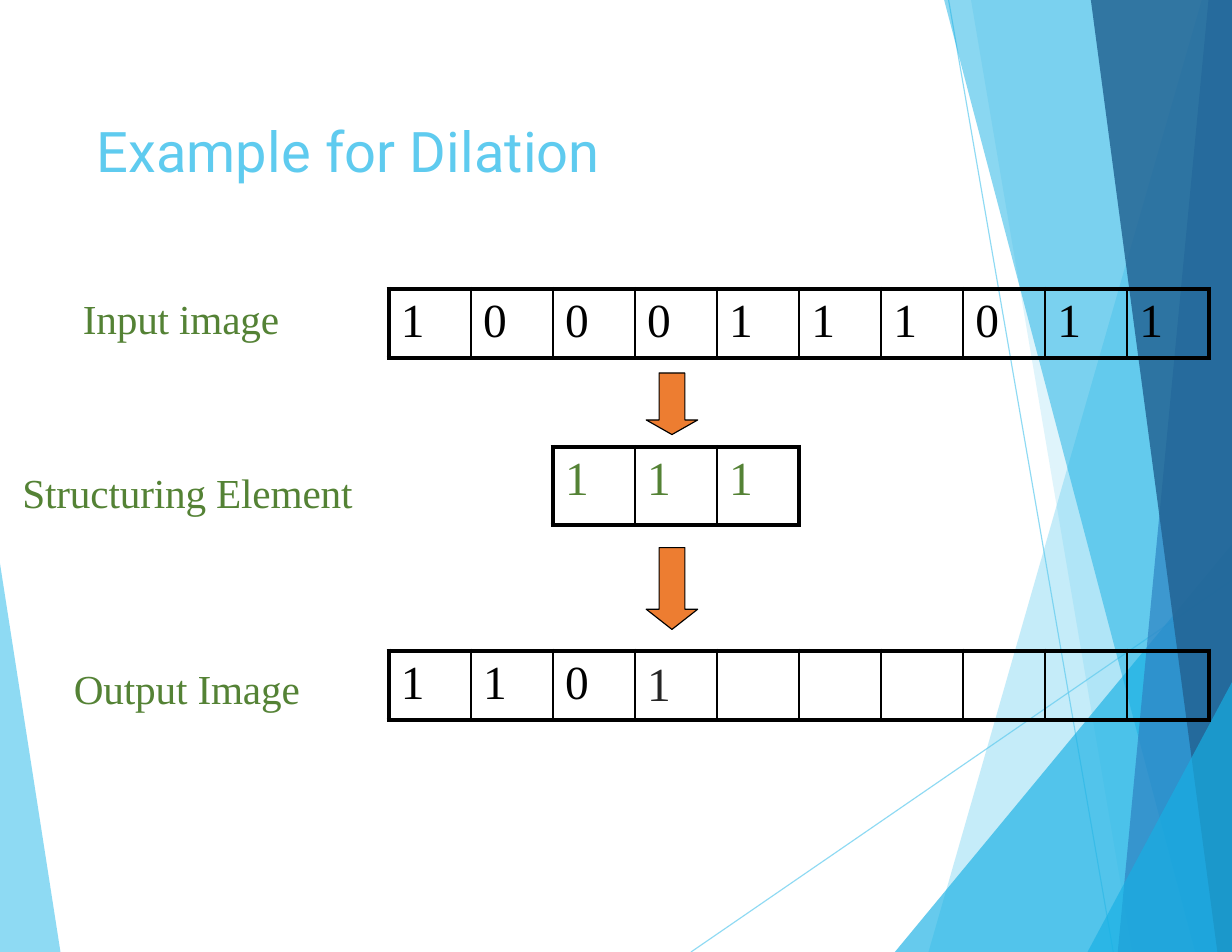
from dataclasses import dataclass

from lxml import etree
from pptx import Presentation
from pptx.dml.color import RGBColor
from pptx.enum.shapes import MSO_CONNECTOR, MSO_SHAPE
from pptx.enum.text import MSO_ANCHOR, PP_ALIGN
from pptx.oxml.ns import qn
from pptx.util import Inches, Pt

STRAIGHT = MSO_CONNECTOR.STRAIGHT
DOWN_ARROW = MSO_SHAPE.DOWN_ARROW
TOP = MSO_ANCHOR.TOP
LEFT = PP_ALIGN.LEFT
TITLE_ONLY = 5
WIDTH, HEIGHT = 11, 8.5


@dataclass(frozen=True)
class Theme:
    sky: str = "5FCBEF"
    cyan: str = "17B0E4"
    blue: str = "2E83C3"
    navy: str = "226292"
    green: str = "548235"
    orange: str = "ED7D31"
    black: str = "000000"
    charcoal: str = "262626"
    heading_font: str = "Roboto"
    body_font: str = "Times New Roman"
    title_size: float = 36
    label_size: float = 26.5
    cell_size: float = 30.5
    thick: float = 3
    thin: float = 1.5


THEME = Theme()
CELL_WIDTH = 0.733

# Colour, opacity in percent, corner points
LEFT_FACET = (THEME.sky, 70, [(0, 5.03), (0.54, HEIGHT), (0, HEIGHT)])
RIGHT_FACETS = [
    (THEME.sky, 36, [(10.73, 0), (8.29, HEIGHT), (WIDTH, HEIGHT), (WIDTH, 0)]),
    (THEME.sky, 20, [(8.67, 0), (10.11, HEIGHT), (WIDTH, HEIGHT), (WIDTH, 0)]),
    (THEME.cyan, 66, [(7.99, HEIGHT), (WIDTH, 4.86), (WIDTH, HEIGHT)]),
    (THEME.cyan, 50, [(8.43, 0), (10.67, HEIGHT), (WIDTH, HEIGHT), (WIDTH, 0)]),
    (THEME.blue, 70, [(10.79, 0), (9.98, HEIGHT), (WIDTH, HEIGHT), (WIDTH, 0)]),
    (THEME.navy, 82, [(9.74, 0), (10.87, HEIGHT), (WIDTH, HEIGHT), (WIDTH, 0)]),
    (THEME.cyan, 66, [(9.71, HEIGHT), (WIDTH, 6.09), (WIDTH, HEIGHT)]),
]
RAYS = [((6.17, HEIGHT), (WIDTH, 5.18)), ((8.47, 0), (9.94, HEIGHT))]


def rgb(color):
    return RGBColor.from_string(color)


def set_opacity(fill, percent):
    color = fill._xPr.find(qn("a:solidFill"))[0]
    etree.SubElement(color, qn("a:alpha"), val=str(percent * 1000))


def write_text(frame, text, *, size, color, font=THEME.body_font, tracking=0):
    """Fill the first paragraph of a frame; tracking is in hundredths of a point."""
    para = frame.paragraphs[0]
    para.alignment = LEFT
    para.space_before = Pt(0)
    span = para.add_run()
    span.text = text
    span.font.size = Pt(size)
    span.font.name = font
    span.font.color.rgb = rgb(color)
    if tracking:
        span.font._element.set("spc", str(tracking))


def set_margins(target, left=0, top=0):
    target.margin_left, target.margin_top = Inches(left), Inches(top)
    target.margin_right = target.margin_bottom = 0


def add_facet(page, color, opacity, corners):
    points = [(Inches(x), Inches(y)) for x, y in corners]
    builder = page.shapes.build_freeform(*points[0])
    builder.add_line_segments(points[1:], close=True)
    facet = builder.convert_to_shape()
    facet.shadow.inherit = False
    facet.fill.solid()
    facet.fill.fore_color.rgb = rgb(color)
    set_opacity(facet.fill, opacity)
    facet.line.fill.background()


def add_ray(page, start, end):
    ray = page.shapes.add_connector(STRAIGHT, *map(Inches, start + end))
    ray.line.width = Pt(0.75)
    ray.line.color.rgb = rgb(THEME.sky)
    set_opacity(ray.line.fill, 70)
    etree.SubElement(ray._element.spPr, qn("a:effectLst"))


def add_backdrop(page):
    add_facet(page, *LEFT_FACET)
    for start, end in RAYS:
        add_ray(page, start, end)
    for facet in RIGHT_FACETS:
        add_facet(page, *facet)


def place_title(page, text, left, top, width, height):
    title = page.shapes.title
    title.left, title.top = Inches(left), Inches(top)
    title.width, title.height = Inches(width), Inches(height)
    frame = title.text_frame
    frame.word_wrap = True
    frame.vertical_anchor = TOP
    set_margins(frame, left=0.01, top=0.04)
    write_text(frame, text, size=THEME.title_size, color=THEME.sky,
               font=THEME.heading_font, tracking=10)


def add_label(page, text, left, top, width, height=0.45):
    box = page.shapes.add_textbox(*map(Inches, (left, top, width, height)))
    frame = box.text_frame
    frame.word_wrap = True
    set_margins(frame)
    write_text(frame, text, size=THEME.label_size, color=THEME.green, tracking=-10)


def set_borders(cell, widths):
    """Set left, right, top and bottom border widths, in that order."""
    properties = cell._tc.get_or_add_tcPr()
    for index, (side, width) in enumerate(zip("LRTB", widths)):
        border = etree.Element(qn(f"a:ln{side}"), w=str(Pt(width)))
        fill = etree.SubElement(border, qn("a:solidFill"))
        etree.SubElement(fill, qn("a:srgbClr"), val=THEME.black)
        properties.insert(index, border)


def add_pixel_row(page, values, left, top, height, color, accents=()):
    """Draw one row of pixels; cells whose index is in accents are charcoal."""
    count = len(values)
    box = (left, top, count * CELL_WIDTH, height)
    table = page.shapes.add_table(1, count, *map(Inches, box)).table
    table.first_row = table.horz_banding = False
    for index, value in enumerate(values):
        table.columns[index].width = Inches(CELL_WIDTH)
        cell = table.cell(0, index)
        accented = index in accents
        set_margins(cell, left=0.11, top=0.08 if accented else 0.06)
        cell.fill.background()
        set_borders(cell, (
            THEME.thick if index == 0 else THEME.thin,
            THEME.thick if index == count - 1 else THEME.thin,
            THEME.thick, THEME.thick))
        if value:
            write_text(cell.text_frame, value, size=THEME.cell_size,
                       color=THEME.charcoal if accented else color)


def add_down_arrow(page, left, top, width, height, head):
    arrow = page.shapes.add_shape(DOWN_ARROW, *map(Inches, (left, top, width, height)))
    arrow.adjustments[0] = 0.5
    arrow.adjustments[1] = head / width
    arrow.shadow.inherit = False
    arrow.fill.solid()
    arrow.fill.fore_color.rgb = rgb(THEME.orange)
    arrow.line.color.rgb = rgb(THEME.black)
    arrow.line.width = Pt(0.75)


def build_dilation_slide(deck):
    page = deck.slides.add_slide(deck.slide_layouts[TITLE_ONLY])
    add_backdrop(page)
    place_title(page, "Example for Dilation", 0.85, 1, 6.28, 0.63)

    add_label(page, "Input image", 0.74, 2.62, 2.4)
    add_label(page, "Structuring Element", 0.2, 4.17, 3.1)
    add_label(page, "Output Image", 0.66, 5.92, 2.2)

    row_left = 3.47
    add_pixel_row(page, list("1000111011"), row_left, 2.58, 0.62, THEME.black)
    add_pixel_row(page, list("111"), row_left + 2 * CELL_WIDTH, 3.99, 0.7, THEME.green)
    add_pixel_row(page, list("1101") + [""] * 6, row_left, 5.81, 0.62,
                  THEME.black, accents=(3,))

    add_down_arrow(page, 5.77, 3.33, 0.46, 0.55, head=0.13)
    add_down_arrow(page, 5.77, 4.89, 0.46, 0.73, head=0.18)


def main():
    deck = Presentation()
    deck.slide_width, deck.slide_height = Inches(WIDTH), Inches(HEIGHT)
    build_dilation_slide(deck)
    deck.save("out.pptx")


if __name__ == "__main__":
    main()
